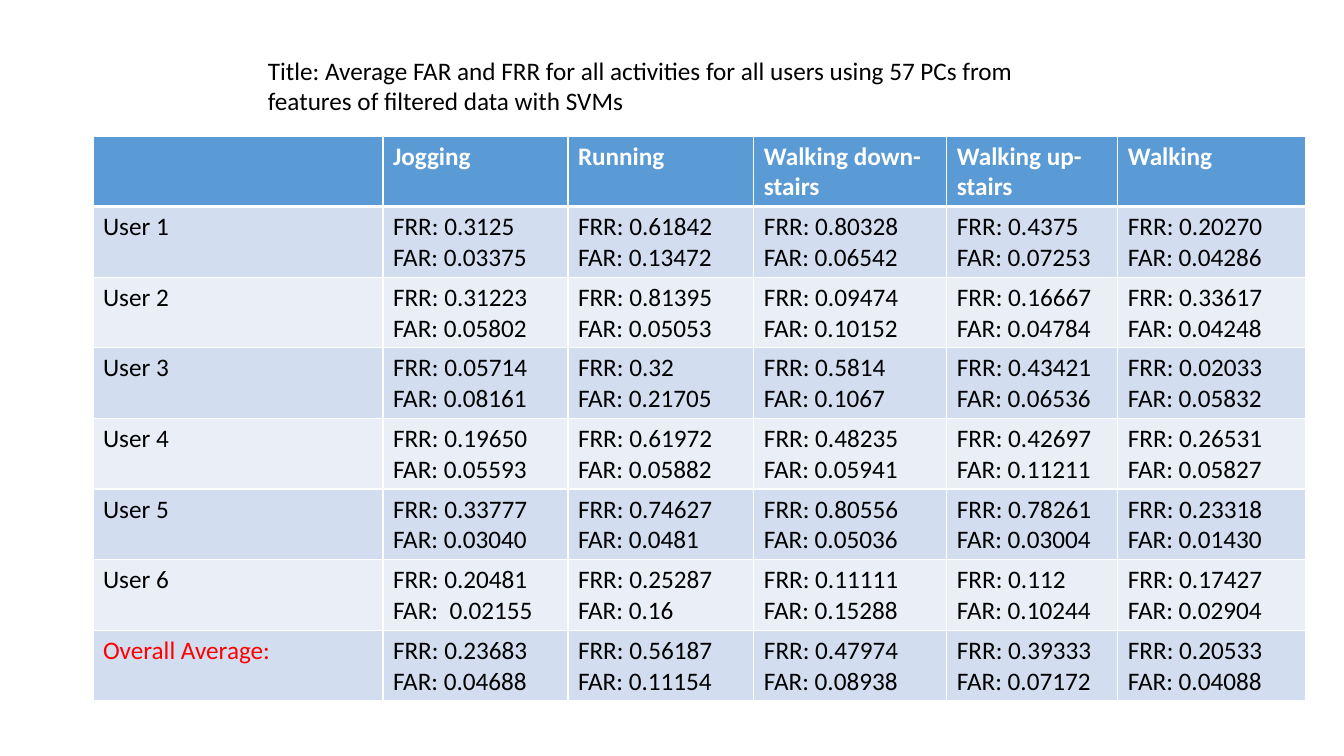
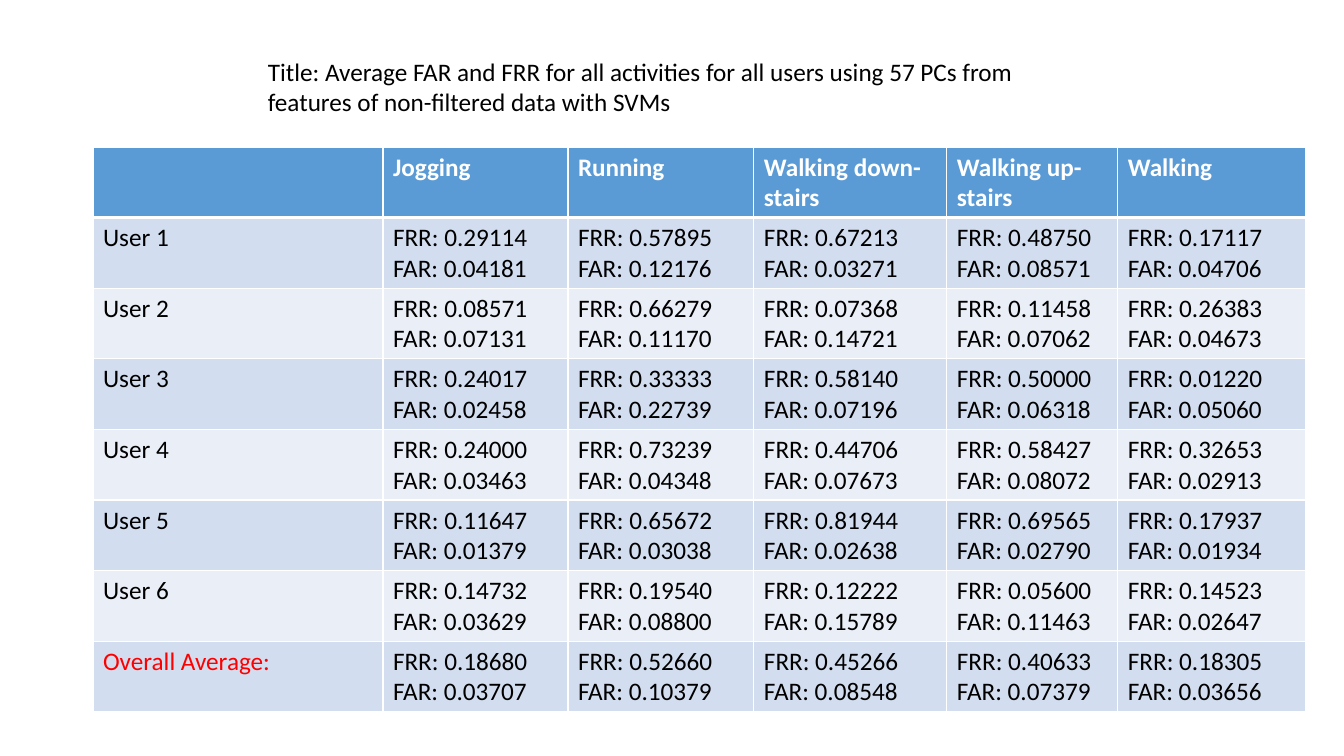
from lxml.etree import SubElement
from pptx import Presentation
from pptx.dml.color import RGBColor
from pptx.enum.text import MSO_AUTO_SIZE as AutoSize
from pptx.oxml.ns import qn
from pptx.util import Emu, Pt

ACTIVITIES = ["", "Jogging", "Running", "Walking down-stairs", "Walking up-stairs", "Walking"]
AVERAGE = "Overall Average:"
TITLE = "Title: Average FAR and FRR for all activities for all users using 57 PCs from features of {} data with SVMs"

FILTERED = [
    ("User 1", ("0.3125", "0.03375"), ("0.61842", "0.13472"), ("0.80328", "0.06542"),
     ("0.4375", "0.07253"), ("0.20270", "0.04286")),
    ("User 2", ("0.31223", "0.05802"), ("0.81395", "0.05053"), ("0.09474", "0.10152"),
     ("0.16667", "0.04784"), ("0.33617", "0.04248")),
    ("User 3", ("0.05714", "0.08161"), ("0.32", "0.21705"), ("0.5814", "0.1067"),
     ("0.43421", "0.06536"), ("0.02033", "0.05832")),
    ("User 4", ("0.19650", "0.05593"), ("0.61972", "0.05882"), ("0.48235", "0.05941"),
     ("0.42697", "0.11211"), ("0.26531", "0.05827")),
    ("User 5", ("0.33777", "0.03040"), ("0.74627", "0.0481"), ("0.80556", "0.05036"),
     ("0.78261", "0.03004"), ("0.23318", "0.01430")),
    ("User 6", ("0.20481", " 0.02155"), ("0.25287", "0.16"), ("0.11111", "0.15288"),
     ("0.112", "0.10244"), ("0.17427", "0.02904")),
    (AVERAGE, ("0.23683", "0.04688"), ("0.56187", "0.11154"), ("0.47974", "0.08938"),
     ("0.39333", "0.07172"), ("0.20533", "0.04088")),
]
NON_FILTERED = [
    ("User 1", ("0.29114", "0.04181"), ("0.57895", "0.12176"), ("0.67213", "0.03271"),
     ("0.48750", "0.08571"), ("0.17117", "0.04706")),
    ("User 2", ("0.08571", "0.07131"), ("0.66279", "0.11170"), ("0.07368", "0.14721"),
     ("0.11458", "0.07062"), ("0.26383", "0.04673")),
    ("User 3", ("0.24017", "0.02458"), ("0.33333", "0.22739"), ("0.58140", "0.07196"),
     ("0.50000", "0.06318"), ("0.01220", "0.05060")),
    ("User 4", ("0.24000", "0.03463"), ("0.73239", "0.04348"), ("0.44706", "0.07673"),
     ("0.58427", "0.08072"), ("0.32653", "0.02913")),
    ("User 5", ("0.11647", "0.01379"), ("0.65672", "0.03038"), ("0.81944", "0.02638"),
     ("0.69565", "0.02790"), ("0.17937", "0.01934")),
    ("User 6", ("0.14732", "0.03629"), ("0.19540", "0.08800"), ("0.12222", "0.15789"),
     ("0.05600", "0.11463"), ("0.14523", "0.02647")),
    (AVERAGE, ("0.18680", "0.03707"), ("0.52660", "0.10379"), ("0.45266", "0.08548"),
     ("0.40633", "0.07379"), ("0.18305", "0.03656")),
]
SLIDES = [
    {"data": "filtered", "rows": FILTERED, "title_top": 50, "table_top": 136},
    {"data": "non-filtered", "rows": NON_FILTERED, "title_top": 51, "table_top": 147},
]

FONT, SIZE = "Calibri", 18
WHITE, BLACK, RED = "FFFFFF", "000000", "FF0000"
HEADER, BANDS = "5B9BD5", ("EAEFF7", "D2DEEF")
COLUMNS = (290, 185, 186, 193, 171, 188)
TABLE_LEFT, TABLE_HEIGHT = 93, 564
TITLE_LEFT, TITLE_WIDTH, TITLE_HEIGHT = 258, 820, 72


def px(pixels):
    return Emu(round(pixels * 914400 / 100.8))


def color(value):
    return RGBColor.from_string(value)


def write(frame, lines, ink, bold=False):
    for index, line in enumerate(lines):
        paragraph = frame.paragraphs[0] if index == 0 else frame.add_paragraph()
        run = paragraph.add_run()
        run.text = line
        run.font.name, run.font.size, run.font.bold = FONT, Pt(SIZE), bold
        run.font.color.rgb = color(ink)


def add_borders(cell, widths):
    properties = cell._tc.get_or_add_tcPr()
    for side, width in widths.items():
        line = SubElement(properties, qn(f"a:ln{side}"), w=str(Pt(width)))
        fill = SubElement(line, qn("a:solidFill"))
        SubElement(fill, qn("a:srgbClr"), val=WHITE)


def fill_cell(cell, row, lines, ink):
    top, bottom = {0: (1, 3), 1: (3, 1)}.get(row, (1, 1))
    add_borders(cell, {"L": 1, "R": 1, "T": top, "B": bottom})
    cell.fill.solid()
    cell.fill.fore_color.rgb = color(BANDS[row % 2] if row else HEADER)
    write(cell.text_frame, lines, ink, bold=row == 0)


def add_title(slide, top, text):
    box = slide.shapes.add_textbox(px(TITLE_LEFT), px(top), px(TITLE_WIDTH), px(TITLE_HEIGHT))
    box.text_frame.word_wrap = True
    box.text_frame.auto_size = AutoSize.SHAPE_TO_FIT_TEXT
    write(box.text_frame, [text], BLACK)


def add_rates(slide, top, rows):
    table = slide.shapes.add_table(len(rows) + 1, len(COLUMNS), px(TABLE_LEFT), px(top),
                                   px(sum(COLUMNS)), px(TABLE_HEIGHT)).table
    for column, width in zip(table.columns, COLUMNS):
        column.width = px(width)
    for column, activity in enumerate(ACTIVITIES):
        fill_cell(table.cell(0, column), 0, [activity] if activity else [], WHITE)
    for row, (user, *rates) in enumerate(rows, 1):
        fill_cell(table.cell(row, 0), row, [user], RED if user == AVERAGE else BLACK)
        for column, (frr, far) in enumerate(rates, 1):
            fill_cell(table.cell(row, column), row, [f"FRR: {frr}", f"FAR: {far}"], BLACK)


presentation = Presentation()
presentation.slide_width, presentation.slide_height = px(1344), px(756)
for content in SLIDES:
    slide = presentation.slides.add_slide(presentation.slide_layouts[6])
    add_title(slide, content["title_top"], TITLE.format(content["data"]))
    add_rates(slide, content["table_top"], content["rows"])
presentation.save("out.pptx")
